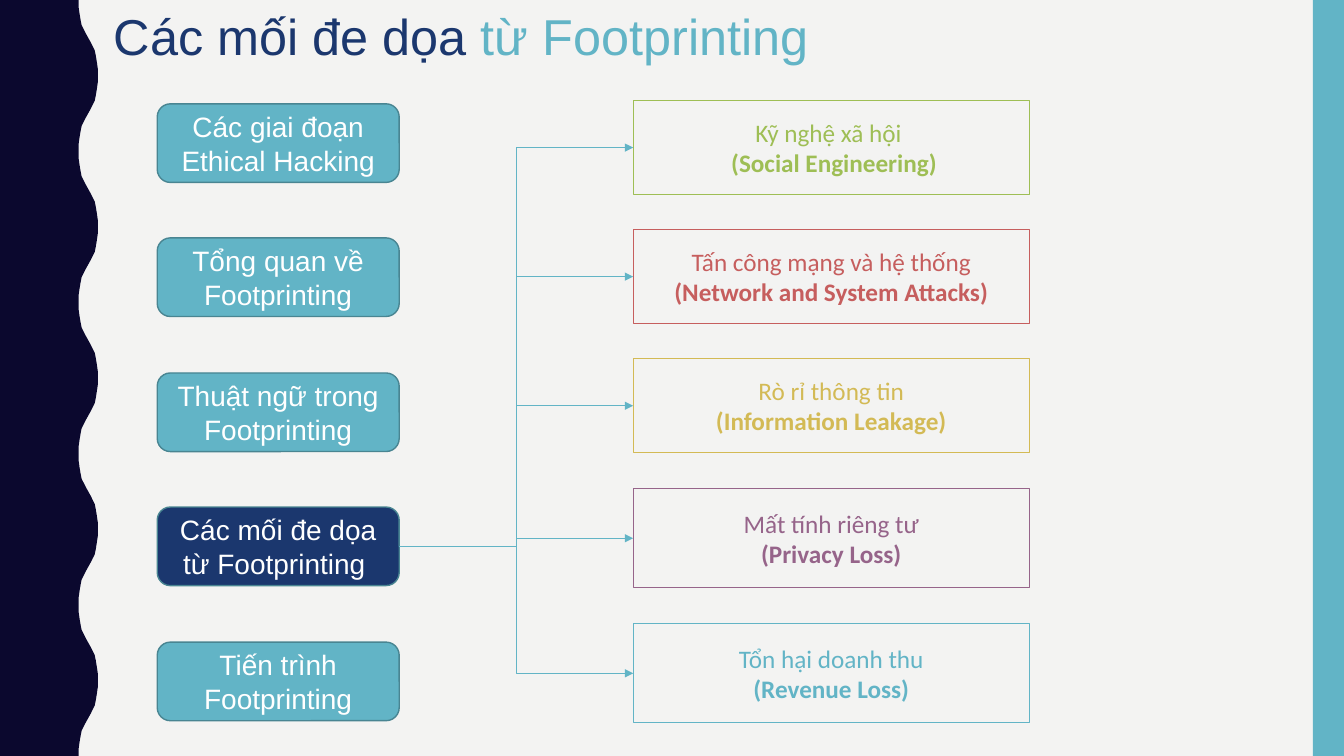
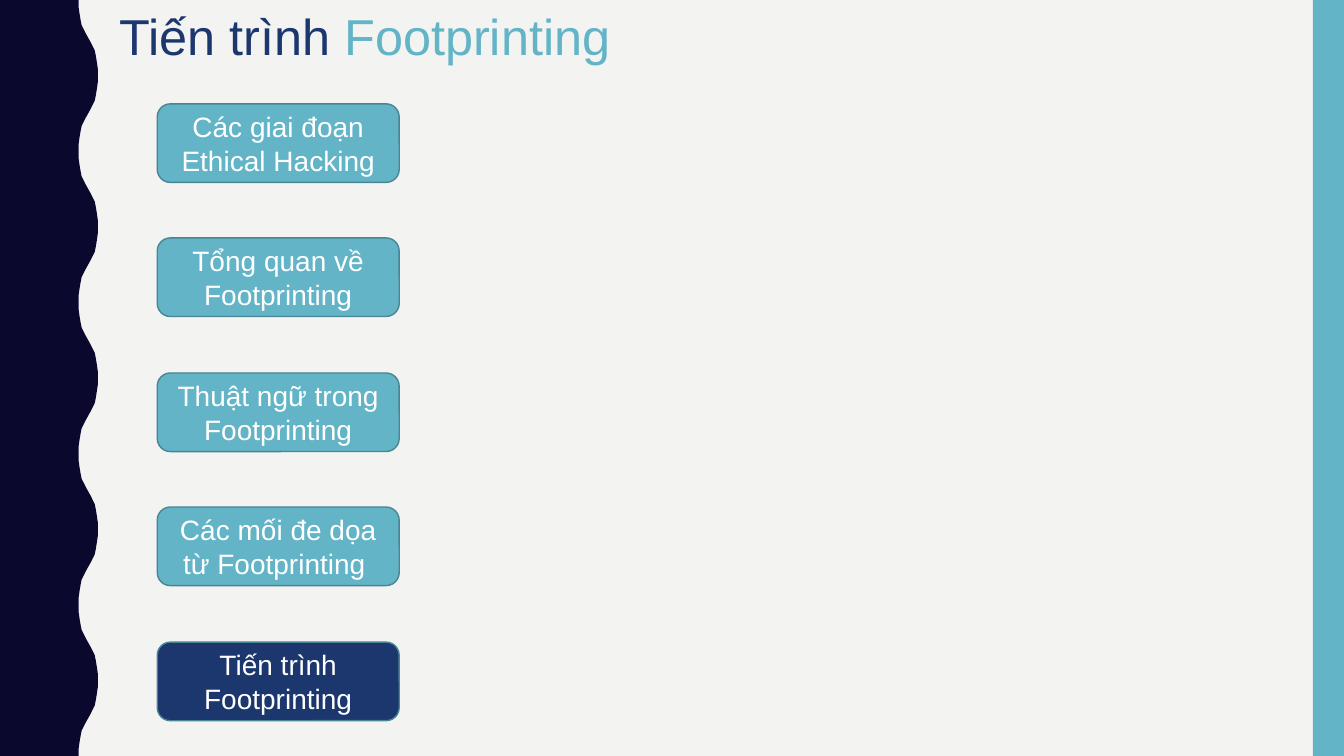
from typing import NamedTuple

from lxml import etree
from pptx import Presentation
from pptx import util as u
from pptx.dml.color import RGBColor
from pptx.enum import shapes, text
from pptx.oxml import ns

PX = 9144
WIDE, HIGH = 1333, 750
HUES = {
    "paper": "F3F3F2", "night": "0B082E", "navy": "1B376E", "teal": "62B4C6",
    "edge": "498592", "white": "FFFFFF", "green": "9EBE55", "red": "C65E5E",
    "gold": "D3BA55", "plum": "96648A",
}
STEPS = [
    "Các giai đoạn Ethical Hacking",
    "Tổng quan về Footprinting",
    "Thuật ngữ trong Footprinting",
    "Các mối đe dọa từ Footprinting ",
    "Tiến trình Footprinting",
]
CURVE = [(78, 0), (78, 7), (79, 14), (80, 20), (81, 25), (83, 29), (85, 33)]


class Run(NamedTuple):
    text: str
    hue: str
    bold: bool = False


class Threat(NamedTuple):
    name: str
    term: str
    hue: str
    top: int
    high: int


class Page(NamedTuple):
    lead: str
    tail: str
    wide: int
    step: int
    threats: list[Threat]


THREATS = [
    Threat("Kỹ nghệ xã hội ", " (Social Engineering)", "green", 100, 93),
    Threat("Tấn công mạng và hệ thống", "(Network and System Attacks)", "red", 228, 93),
    Threat("Rò rỉ thông tin", "(Information Leakage)", "gold", 356, 93),
    Threat("Mất tính riêng tư", "(Privacy Loss)", "plum", 485, 98),
    Threat("Tổn hại doanh thu", "(Revenue Loss)", "teal", 619, 98),
]
PAGES = [
    Page("Các mối đe dọa ", "từ Footprinting", 713, 3, THREATS),
    Page("Tiến trình ", "Footprinting", 522, 4, []),
]


def tint(name: str) -> RGBColor:
    return RGBColor.from_string(HUES[name])


def write(shape, paras: list[list[Run]], *, size: int, font: str = "Arial",
          anchor=text.MSO_ANCHOR.MIDDLE) -> None:
    frame = shape.text_frame
    frame.word_wrap = True
    frame.vertical_anchor = anchor
    for i, runs in enumerate(paras):
        para = frame.add_paragraph() if i else frame.paragraphs[0]
        para.alignment = text.PP_ALIGN.CENTER
        for item in runs:
            run = para.add_run()
            run.text = item.text
            run.font.name = font
            run.font.size = u.Pt(size)
            run.font.bold = item.bold
            run.font.color.rgb = tint(item.hue)


def paint(shape, fill: str = "", line: str = "", width: float = 1) -> None:
    shape.shadow.inherit = False
    if fill:
        shape.fill.solid()
        shape.fill.fore_color.rgb = tint(fill)
    else:
        shape.fill.background()
    if line:
        shape.line.color.rgb = tint(line)
        shape.line.width = u.Pt(width)
    else:
        shape.line.fill.background()


def box(slide, kind, left: int, top: int, wide: int, high: int):
    return slide.shapes.add_shape(kind, *(PX * n for n in (left, top, wide, high)))


def wave(slide):
    rise = CURVE + [(175 - x, 75 - y) for x, y in reversed(CURVE)]
    cycle = rise + [(x, 150 - y) for x, y in reversed(rise[:-1])]
    edge = [(x, y + top) for top in range(0, HIGH, 150) for x, y in cycle]
    form = slide.shapes.build_freeform(0, 0, scale=PX)
    form.add_line_segments(edge + [(0, HIGH)], close=True)
    return form.convert_to_shape()


def dress(deck, slide) -> None:
    master = deck.slide_master
    master.background.fill.solid()
    master.background.fill.fore_color.rgb = tint("paper")
    band = wave(slide)
    paint(band, "night")
    bar = box(slide, shapes.MSO_SHAPE.RECTANGLE, 1302, 0, 31, HIGH)
    paint(bar, "teal")
    for i, part in enumerate((band, bar)):
        node = part._element
        node.nvSpPr.cNvPr.set("id", str(20 + i))
        master.shapes._spTree.insert(2 + i, node)


def title(slide, page: Page) -> None:
    area = slide.shapes.add_textbox(101 * PX, 0, page.wide * PX, 71 * PX)
    write(area, [[Run(page.lead, "navy"), Run(page.tail, "teal")]],
          size=36, anchor=text.MSO_ANCHOR.TOP)


def steps(slide, live: int):
    cards = []
    for i, name in enumerate(STEPS):
        card = box(slide, shapes.MSO_SHAPE.ROUNDED_RECTANGLE,
                   156, 103 + 267 * i // 2, 240, 78)
        paint(card, "navy" if i == live else "teal", "edge")
        write(card, [[Run(name, "white")]], size=20)
        cards.append(card)
    return cards[live]


def link(slide, start, end) -> None:
    wire = slide.shapes.add_connector(shapes.MSO_CONNECTOR.ELBOW, 0, 0, 0, 0)
    wire.begin_connect(start, 3)
    wire.end_connect(end, 1)
    wire.line.color.rgb = tint("teal")
    wire.line.width = u.Pt(0.5)
    head = etree.SubElement(wire.line._get_or_add_ln(), ns.qn("a:tailEnd"))
    head.set("type", "triangle")
    etree.SubElement(wire._element.spPr, ns.qn("a:effectLst"))


def threat(slide, item: Threat):
    card = box(slide, shapes.MSO_SHAPE.RECTANGLE, 628, item.top, 393, item.high)
    paint(card, line=item.hue, width=0.75)
    write(card, [[Run(item.name, item.hue)], [Run(item.term, item.hue, True)]],
          size=18, font="Calibri")
    return card


def main() -> None:
    deck = Presentation()
    deck.slide_width, deck.slide_height = WIDE * PX, HIGH * PX
    for i, page in enumerate(PAGES):
        slide = deck.slides.add_slide(deck.slide_layouts[6])
        if i == 0:
            dress(deck, slide)
        title(slide, page)
        live = steps(slide, page.step)
        for item in page.threats:
            link(slide, live, threat(slide, item))
    deck.save("out.pptx")


if __name__ == "__main__":
    main()
